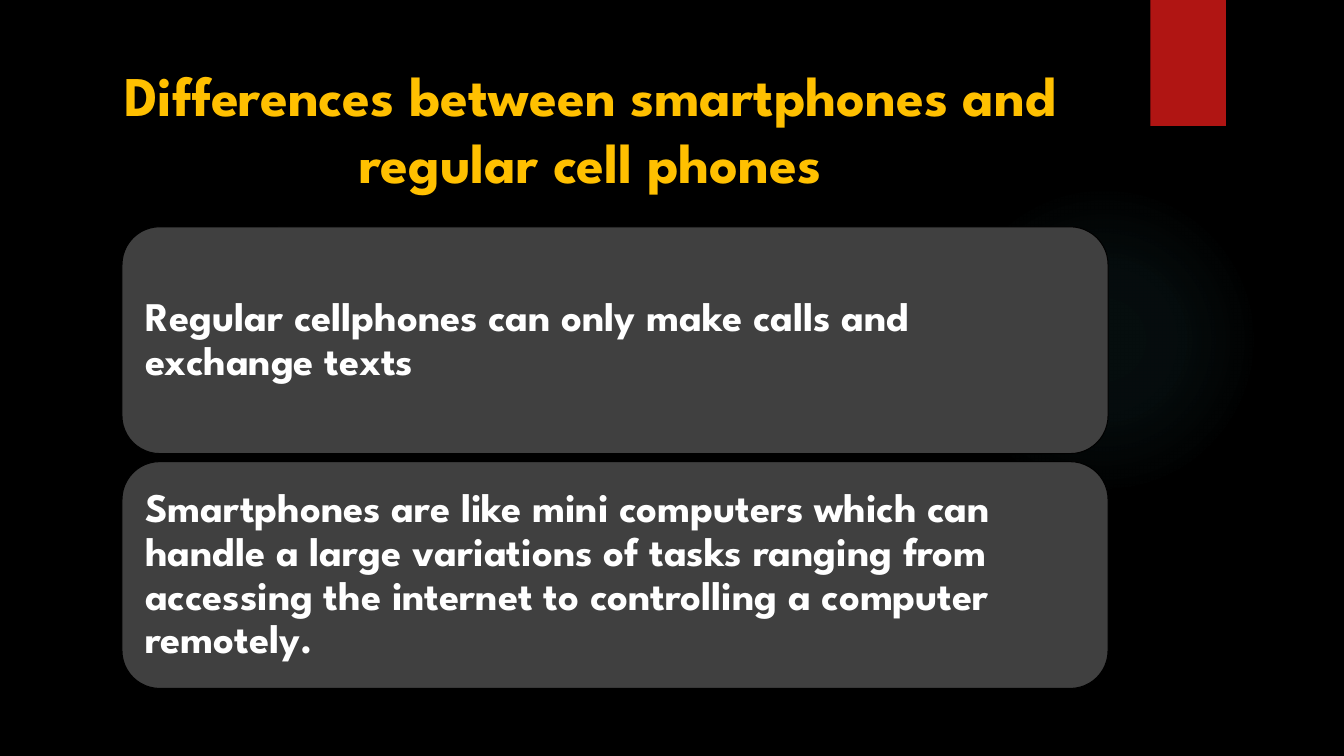
from lxml.etree import SubElement
from pptx import Presentation
from pptx.dml.color import RGBColor
from pptx.enum.shapes import MSO_SHAPE
from pptx.enum.text import MSO_ANCHOR, PP_ALIGN
from pptx.oxml.ns import qn
from pptx.util import Inches, Pt

BLACK = RGBColor(0x00, 0x00, 0x00)
RED = RGBColor(0xB0, 0x15, 0x13)
GOLD = RGBColor(0xFF, 0xC0, 0x00)
GRAY = RGBColor(0x40, 0x40, 0x40)
WHITE = RGBColor(0xFF, 0xFF, 0xFF)
TEAL = RGBColor(0x50, 0xB9, 0xC1)

CARD_TEXTS = [
    "Regular cellphones can only make calls and exchange texts",
    "Smartphones are like mini computers which can handle a large variations of tasks "
    "ranging from accessing the internet to controlling a computer remotely.",
]
CARD_TOP, CARD_HEIGHT, CARD_GAP = 2.25, 2.25, 0.08


class SlideBuilder:
    font_name = "League Spartan"

    def __init__(self, slide):
        self.slide = slide
        slide.background.fill.solid()
        slide.background.fill.fore_color.rgb = BLACK

    def add_shape(self, kind, box, color=None):
        shape = self.slide.shapes.add_shape(kind, *map(Inches, box))
        shape.shadow.inherit = False
        shape.line.fill.background()
        if color is not None:
            shape.fill.solid()
            shape.fill.fore_color.rgb = color
        return shape

    def add_glow(self, box, color, stops):
        shape = self.add_shape(MSO_SHAPE.OVAL, box)
        shape.fill.gradient()
        gradient = shape.element.spPr.find(qn("a:gradFill"))
        for child in list(gradient):
            gradient.remove(child)
        stop_list = SubElement(gradient, qn("a:gsLst"))
        for position, opacity in stops:
            stop = SubElement(stop_list, qn("a:gs"), pos=str(position * 1000))
            stop_color = SubElement(stop, qn("a:srgbClr"), val=str(color))
            SubElement(stop_color, qn("a:alpha"), val=str(opacity * 1000))
        circle = SubElement(gradient, qn("a:path"), path="circle")
        SubElement(circle, qn("a:fillToRect"), l="50000", t="50000", r="50000", b="50000")

    def fill_text(self, shape, text, size, color, inset=None, **paragraph_format):
        frame = shape.text_frame
        frame.word_wrap = True
        frame.vertical_anchor = MSO_ANCHOR.MIDDLE
        if inset is not None:
            for side in ("left", "top", "right", "bottom"):
                setattr(frame, f"margin_{side}", Inches(inset))
        paragraph = frame.paragraphs[0]
        for name, value in paragraph_format.items():
            setattr(paragraph, name, value)
        run = paragraph.add_run()
        run.text = text
        font_format = {"name": self.font_name, "size": Pt(size), "bold": True}
        for name, value in font_format.items():
            setattr(run.font, name, value)
        run.font.color.rgb = color

    def add_title(self, box, text):
        title = self.slide.shapes.add_textbox(*map(Inches, box))
        self.fill_text(title, text, 40, GOLD, alignment=PP_ALIGN.CENTER)

    def add_card(self, box, text):
        card = self.add_shape(MSO_SHAPE.ROUNDED_RECTANGLE, box, GRAY)
        card.line.color.rgb = BLACK
        card.line.width = Pt(0.75)
        self.fill_text(card, text, 29, WHITE, inset=0.12,
                       alignment=PP_ALIGN.LEFT, line_spacing=0.9)


def main():
    presentation = Presentation()
    presentation.slide_width = Inches(13.33)
    presentation.slide_height = Inches(7.5)
    builder = SlideBuilder(presentation.slides.add_slide(presentation.slide_layouts[6]))

    builder.add_glow((9.41, 1.83, 3.08, 3.08), TEAL, [(0, 7), (36, 6), (69, 0)])
    builder.add_shape(MSO_SHAPE.RECTANGLE, (11.41, 0, 0.75, 1.25), RED)
    builder.add_title((0.71, 0.5, 10.29, 1.53),
                      "Differences between smartphones and regular cell phones")
    for index, text in enumerate(CARD_TEXTS):
        top = CARD_TOP + index * (CARD_HEIGHT + CARD_GAP)
        builder.add_card((1.21, top, 9.78, CARD_HEIGHT), text)

    presentation.save("out.pptx")


if __name__ == "__main__":
    main()
